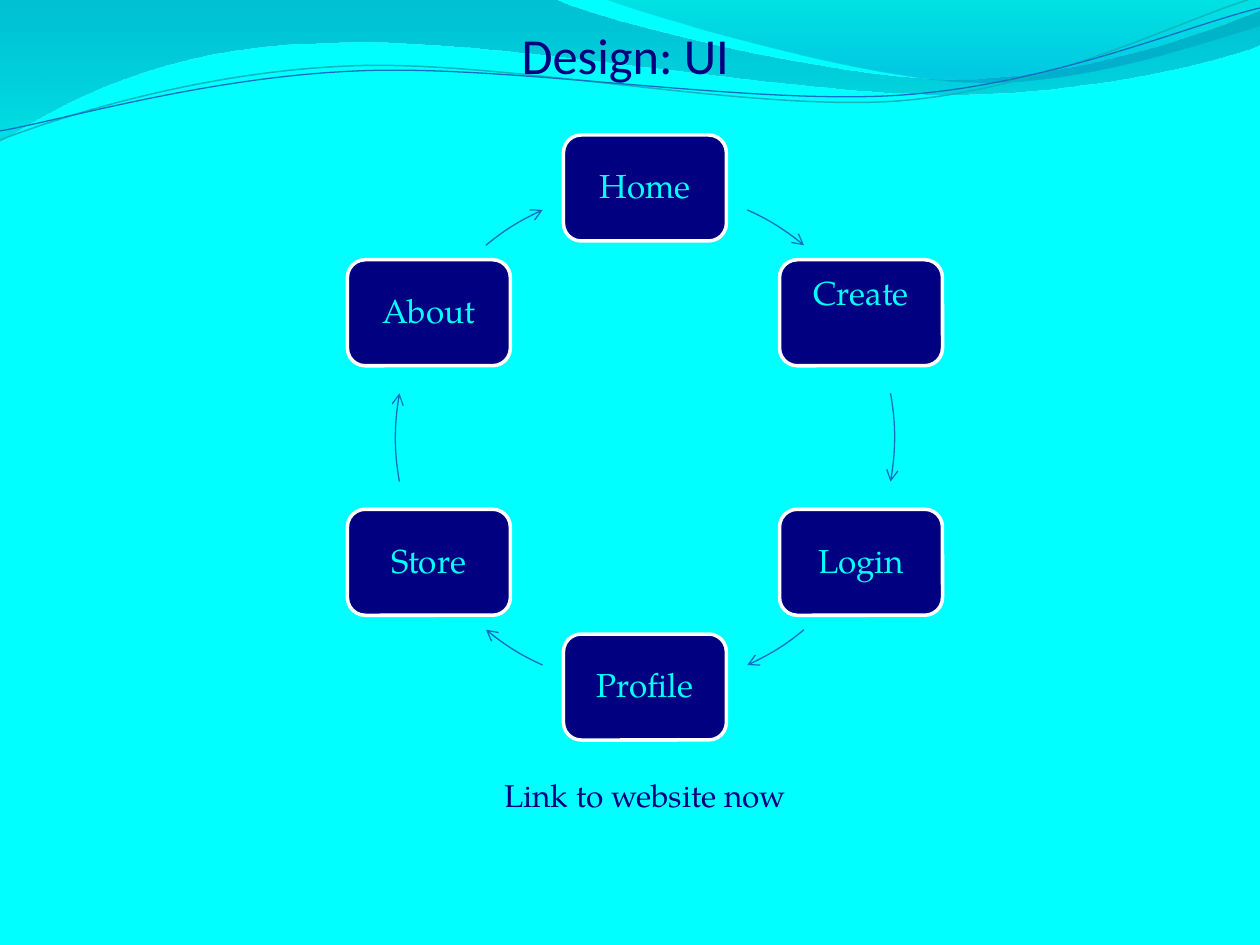
import math
import lxml.etree
import pptx
import pptx.dml.color
import pptx.enum.shapes
import pptx.enum.text
import pptx.oxml
import pptx.oxml.ns
import pptx.util

PX = 914400 / 126
NAVY, AQUA = "000080", "00FFFF"
BODY_FONT = "TeX Gyre Pagella"
MIDDLE = pptx.enum.text.MSO_ANCHOR.MIDDLE
CENTER = pptx.enum.text.PP_ALIGN.CENTER
qn = pptx.oxml.ns.qn


def color(value):
    return pptx.dml.color.RGBColor.from_string(value)


def add_curve(frame, segments, closed=False, rotation=0):
    """Freeform in a pixel frame: a start, then pairs (edges) or sixes (curves)."""
    left, top, width, height = [round(v * PX) for v in frame]
    builder = slide.shapes.build_freeform(left, top, scale=1.0)
    builder.add_line_segments([(left + width, top + height)], close=closed)
    shape = builder.convert_to_shape()
    shape.shadow.inherit = False
    shape.rotation = rotation
    middle_x, middle_y = frame[0] + frame[2] / 2, frame[1] + frame[3] / 2
    sine, cosine = math.sin(math.radians(-rotation)), math.cos(math.radians(-rotation))
    outline = next(shape._element.spPr.iter(qn("a:path")))
    for command in list(outline):
        outline.remove(command)
    for index, segment in enumerate(segments):
        tag = "a:moveTo" if index == 0 else "a:lnTo" if len(segment) == 2 else "a:cubicBezTo"
        command = lxml.etree.SubElement(outline, qn(tag))
        for x, y in zip(segment[::2], segment[1::2]):
            x, y = x - middle_x, y - middle_y
            point = lxml.etree.SubElement(command, qn("a:pt"))
            point.set("x", str(round((x * cosine - y * sine + frame[2] / 2) * PX)))
            point.set("y", str(round((x * sine + y * cosine + frame[3] / 2) * PX)))
    if closed:
        lxml.etree.SubElement(outline, qn("a:close"))
    return shape


presentation = pptx.Presentation()
presentation.slide_width = round(1260 * PX)
presentation.slide_height = round(945 * PX)
slide = presentation.slides.add_slide(presentation.slide_layouts[5])
slide.background.fill.solid()
slide.background.fill.fore_color.rgb = color(AQUA)

# Filled waves
waves = [
    ((-1, -1, 1262, 143),
     [(0, -1), (554, -1), (600, 21, 837, 79, 955, 79), (1075, 79, 1207, 33, 1260, 11),
      (1261, 45), (1239, 55, 1096, 96, 940, 94), (784, 94, 481, 35, 324, 43),
      (163, 45, 58, 105, -1, 142), (0, -1)], [("0074A1", 45, 0), ("00C6CF", 55, 1)]),
    ((604, -1, 656, 88),
     [(604, -1), (641, 14, 859, 78, 969, 82), (1079, 87, 1211, 40, 1260, 26), (1260, 0),
      (604, -1)], [("00A1A9", 30, 0), ("008BBF", 45, 0.8)]),
]
for frame, segments, stops in waves:
    wave = add_curve(frame, segments, closed=True)
    wave.line.fill.background()
    wave.fill.gradient()
    wave.fill.gradient_angle = 270
    for stop, (value, opacity, position) in zip(wave.fill.gradient_stops, stops):
        stop.color.rgb = color(value)
        stop.position = position
    swatches = wave._element.spPr.iter(qn("a:srgbClr"))
    for swatch, (value, opacity, position) in zip(swatches, stops):
        lxml.etree.SubElement(swatch, qn("a:alpha")).set("val", str(opacity * 1000))

# Thin wave lines
wave_lines = [
    ((-2, 28, 1262, 89),
     [(0, 140), (60, 117, 199, 72, 349, 66), (498, 59, 747, 112, 898, 101),
      (1050, 89, 1182, 19, 1257, -3)], "0AB8BF", 0.85),
    ((-2, 38, 1264, 73),
     [(0, 131), (59, 121, 207, 77, 357, 71), (508, 64, 752, 106, 903, 95),
      (1053, 84, 1185, 26, 1260, 8)], "0F6FC6", 0.75),
]
for frame, segments, value, weight in wave_lines:
    wave_line = add_curve(frame, segments, rotation=-2.7)
    wave_line.fill.background()
    wave_line.line.color.rgb = color(value)
    wave_line.line.width = pptx.util.Pt(weight)

# Cycle of pages: boxes every 60 degrees, an arc arrow after each
center_x, center_y, radius = 645, 437.5, 249.5
box_width, box_height = 163, 106
cycle_frame = (center_x - radius, center_y - radius, 2 * radius, 2 * radius)
arc_ranges = [(24.2, 39.6), (19.8, 40.2), (20.4, 35.8)]
pages = ["Home", "Create", "Login", "Profile", "Store", "About"]
for index, page in enumerate(pages):
    angle = math.radians(60 * index)
    left = center_x + radius * math.sin(angle) - box_width / 2
    top = center_y - radius * math.cos(angle) - box_height / 2
    box = slide.shapes.add_shape(
        pptx.enum.shapes.MSO_SHAPE.ROUNDED_RECTANGLE,
        round(left * PX), round(top * PX), round(box_width * PX), round(box_height * PX))
    box.shadow.inherit = False
    box.fill.solid()
    box.fill.fore_color.rgb = color(NAVY)
    box.line.color.rgb = color("FFFFFF")
    box.line.width = pptx.util.Pt(2)
    frame = box.text_frame
    frame.vertical_anchor = MIDDLE
    frame.margin_left = frame.margin_right = frame.margin_top = round(10 * PX)
    frame.margin_bottom = round((46 if page == "Create" else 10) * PX)
    paragraph = frame.paragraphs[0]
    paragraph.text = page
    paragraph.alignment = CENTER
    paragraph.line_spacing = 0.9
    paragraph.font.name = BODY_FONT
    paragraph.font.size = pptx.util.Pt(19)
    paragraph.font.color.rgb = color(AQUA)

    start, end = [math.radians(60 * index + turn) for turn in arc_ranges[index % 3]]
    pull = radius * 4 / 3 * math.tan((end - start) / 4)
    x0, y0 = center_x + radius * math.sin(start), center_y - radius * math.cos(start)
    x1, y1 = center_x + radius * math.sin(end), center_y - radius * math.cos(end)
    arrow = add_curve(cycle_frame, [(x0, y0), (
        x0 + pull * math.cos(start), y0 + pull * math.sin(start),
        x1 - pull * math.cos(end), y1 - pull * math.sin(end), x1, y1)])
    arrow.fill.background()
    arrow.line.color.rgb = color("0F6FC6")
    arrow.line.width = pptx.util.Pt(0.75)
    head = lxml.etree.SubElement(arrow.line._get_or_add_ln(), qn("a:tailEnd"))
    head.set("type", "arrow")

# Title, in front of the waves
title = slide.shapes.title
slide.shapes._spTree.append(title._element)
title.left, title.top, title.width, title.height = [round(v * PX) for v in (64, 26, 1134, 59)]
frame = title.text_frame
frame.auto_size = pptx.enum.text.MSO_AUTO_SIZE.NONE
frame.vertical_anchor = pptx.enum.text.MSO_ANCHOR.BOTTOM
frame.margin_left = frame.margin_right = frame.margin_bottom = 0
paragraph = frame.paragraphs[0]
paragraph.text = "Design: UI "
paragraph.alignment = CENTER
paragraph.font.name = "Calibri"
paragraph.font.size = pptx.util.Pt(28.8)
paragraph.font.color.rgb = color(NAVY)

# Closing line
caption = slide.shapes.add_textbox(*[round(v * PX) for v in (303, 770, 684, 50)])
caption.text_frame.word_wrap = True
paragraph = caption.text_frame.paragraphs[0]
paragraph.text = "Link to website now"
paragraph.alignment = CENTER
paragraph.font.name = BODY_FONT
paragraph.font.size = pptx.util.Pt(18)
paragraph.font.color.rgb = color(NAVY)

presentation.save("out.pptx")
